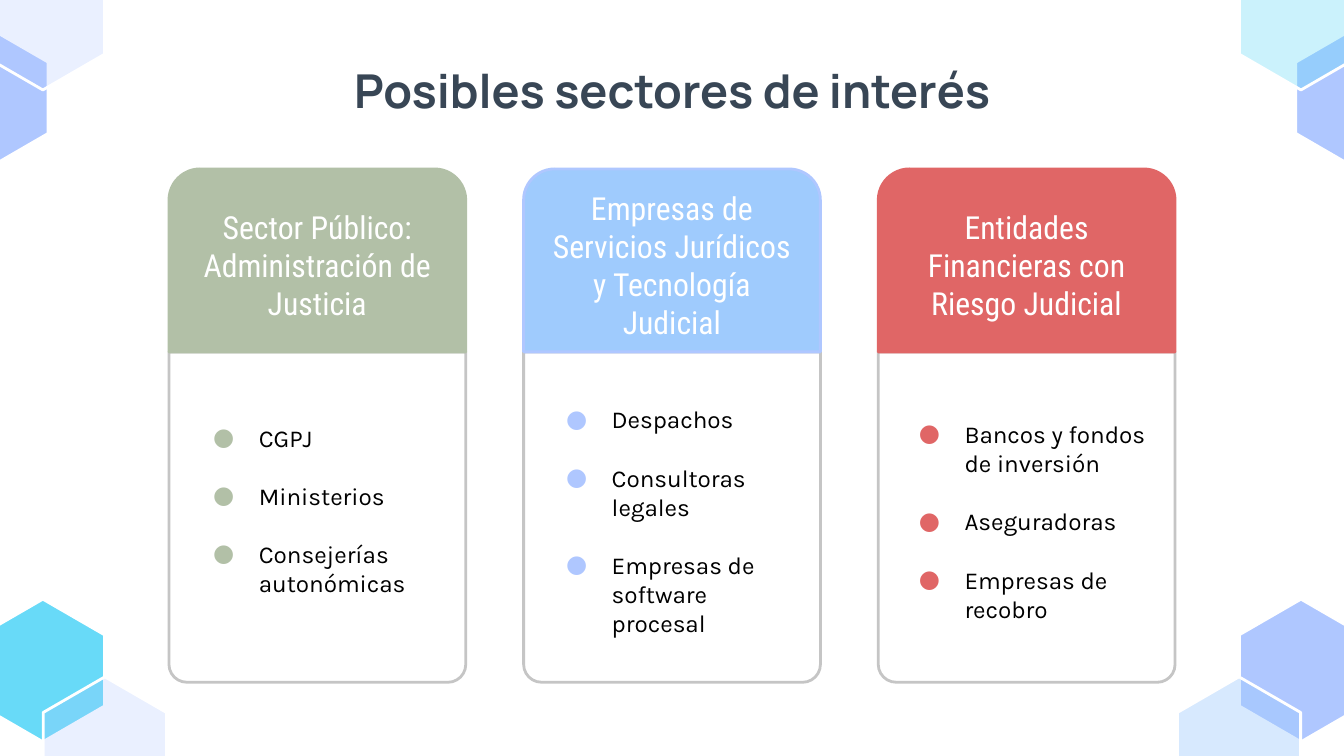
from lxml import etree
from pptx import Presentation
from pptx.dml.color import RGBColor
from pptx.enum.shapes import MSO_SHAPE
from pptx.enum.text import MSO_ANCHOR, MSO_AUTO_SIZE, PP_ALIGN
from pptx.oxml.ns import qn
from pptx.util import Pt

TAB = MSO_SHAPE.ROUND_2_SAME_RECTANGLE
MIDDLE, FIXED = MSO_ANCHOR.MIDDLE, MSO_AUTO_SIZE.NONE
LEFT, CENTER = PP_ALIGN.LEFT, PP_ALIGN.CENTER

WHITE = RGBColor(0xFF, 0xFF, 0xFF)
BLACK = RGBColor(0x00, 0x00, 0x00)
SLATE = RGBColor(0x38, 0x46, 0x55)
GRAY = RGBColor(0xC5, 0xC5, 0xC5)
GREEN = RGBColor(0xB2, 0xC0, 0xA7)
SKY = RGBColor(0x9F, 0xCB, 0xFD)
LILAC = RGBColor(0xAF, 0xC7, 0xFF)
CYAN = RGBColor(0x68, 0xDA, 0xF8)
RED = RGBColor(0xE0, 0x66, 0x66)

WIDTH, HEIGHT = 720, 405
CARD_W, CARD_H, STEP = 159, 275, 190
HEAD_H = 98
HEX_W, HEX_H = 66, 76.4

# Center x, top, then fill and opacity on the left and on the right
HEXES = [
    (23, 321, (CYAN, 100), (LILAC, 100)),
    (-7.2, 14.2, (LILAC, 100), (LILAC, 100)),
    (56.2, 362.6, (LILAC, 25), (SKY, 41)),
    (23, -28.2, (LILAC, 25), (CYAN, 34)),
]

# Heading, head fill, accent, list offset in the card, items
SECTORS = [
    ("Sector Público: Administración de Justicia", GREEN, GREEN, (5, 103.7),
     ["CGPJ", "Ministerios", "Consejerías autonómicas"]),
    ("Empresas de Servicios Jurídicos y Tecnología Judicial", SKY, LILAC,
     (4, 109.5),
     ["Despachos", "Consultoras legales", "Empresas de software procesal"]),
    ("Entidades Financieras con Riesgo Judicial", RED, RED, (3, 109.5),
     ["Bancos y fondos de inversión", "Aseguradoras",
      "Empresas de recobro"]),
]


def place(shape, x, y, w, h):
    shape.left, shape.top = Pt(x), Pt(y)
    shape.width, shape.height = Pt(w), Pt(h)


def set_frame(frame):
    frame.word_wrap = True
    frame.auto_size = FIXED
    frame.vertical_anchor = MIDDLE
    frame.margin_left = frame.margin_right = Pt(7.2)
    frame.margin_top = frame.margin_bottom = Pt(7.2)


def set_text(para, name, size, color, align, bold=False):
    para.alignment = align
    para.line_spacing = 1.0
    font = para.font
    font.name, font.size, font.bold = name, Pt(size), bold
    font.color.rgb = color


def set_line(shape, color):
    shape.shadow.inherit = False
    shape.line.color.rgb = color
    shape.line.width = Pt(1.5)


def add_bullet(para, color):
    props = para._p.get_or_add_pPr()
    props.set("marL", str(Pt(36)))
    props.set("indent", str(-Pt(24.5)))
    tint = etree.SubElement(props, qn("a:buClr"))
    etree.SubElement(tint, qn("a:srgbClr"), val=str(color))
    etree.SubElement(props, qn("a:buFont"), typeface="Karla")
    etree.SubElement(props, qn("a:buChar"), char="●")


def add_hex(slide, x, y, w, h, color, alpha):
    right, mid = x + w, x + w / 2
    high, low = y + h / 4, y + h * 3 / 4
    path = slide.shapes.build_freeform(Pt(mid), Pt(y))
    path.add_line_segments([(Pt(a), Pt(b)) for a, b in (
        (right, high), (right, low), (mid, y + h), (x, low), (x, high))])
    shape = path.convert_to_shape()
    shape.fill.solid()
    shape.fill.fore_color.rgb = color
    set_line(shape, WHITE)
    if alpha < 100:
        tint = shape._element.spPr.find(qn("a:solidFill"))[0]
        etree.SubElement(tint, qn("a:alpha"), val=str(alpha * 1000))


def add_decor(slide, x, y, w, h):
    for mid, top, *sides in HEXES:
        for center, paint in zip((x + mid, x + w - mid), sides):
            add_hex(slide, center - HEX_W / 2, y + top, HEX_W, HEX_H, *paint)


def add_title(slide, x, y, w, h):
    title = slide.shapes.title
    place(title, x, y, w, h)
    set_frame(title.text_frame)
    title.text_frame.text = "Posibles sectores de interés"
    set_text(title.text_frame.paragraphs[0], "Manrope", 25, SLATE, CENTER, True)


def add_list(holder, x, y, w, h, items, color):
    place(holder, x, y, w, h)
    frame = holder.text_frame
    set_frame(frame)
    frame.text = "\n".join(items)
    for i, para in enumerate(frame.paragraphs):
        para.space_before = Pt(15.6 if i else 0)
        add_bullet(para, color)
        set_text(para, "Karla", 13, BLACK, LEFT)


def add_card(slide, holder, x, y, w, h, sector):
    name, fill, accent, (dx, dy), items = sector
    # Outlined lower part, rounded at the bottom
    base = slide.shapes.add_shape(
        TAB, Pt(x), Pt(y + HEAD_H), Pt(w), Pt(h - HEAD_H))
    base.rotation = 180
    base.adjustments[0] = 0.06
    base.fill.background()
    set_line(base, GRAY)
    # Colored head, rounded at the top
    head = slide.shapes.add_shape(TAB, Pt(x), Pt(y), Pt(w), Pt(HEAD_H))
    head.adjustments[0] = 0.17
    head.fill.solid()
    head.fill.fore_color.rgb = fill
    set_line(head, accent)
    set_frame(head.text_frame)
    head.text_frame.text = name
    set_text(head.text_frame.paragraphs[0], "Roboto Condensed", 17, WHITE,
             CENTER)
    add_list(holder, x + dx, y + dy, 150.5, 158.4, items, accent)


def main():
    deck = Presentation()
    deck.slide_width, deck.slide_height = Pt(WIDTH), Pt(HEIGHT)
    # The comparison layout has a title and four text areas
    slide = deck.slides.add_slide(deck.slide_layouts[4])
    _, *holders, spare = slide.placeholders
    spare._element.getparent().remove(spare._element)

    add_decor(slide, 0, 0, WIDTH, HEIGHT)
    add_title(slide, 56.5, 25.2, 607, 45.4)
    start = (WIDTH - CARD_W - STEP * (len(SECTORS) - 1)) / 2
    for i, (holder, sector) in enumerate(zip(holders, SECTORS)):
        add_card(slide, holder, start + i * STEP, 90.5, CARD_W, CARD_H, sector)
    deck.save("out.pptx")


if __name__ == "__main__":
    main()
